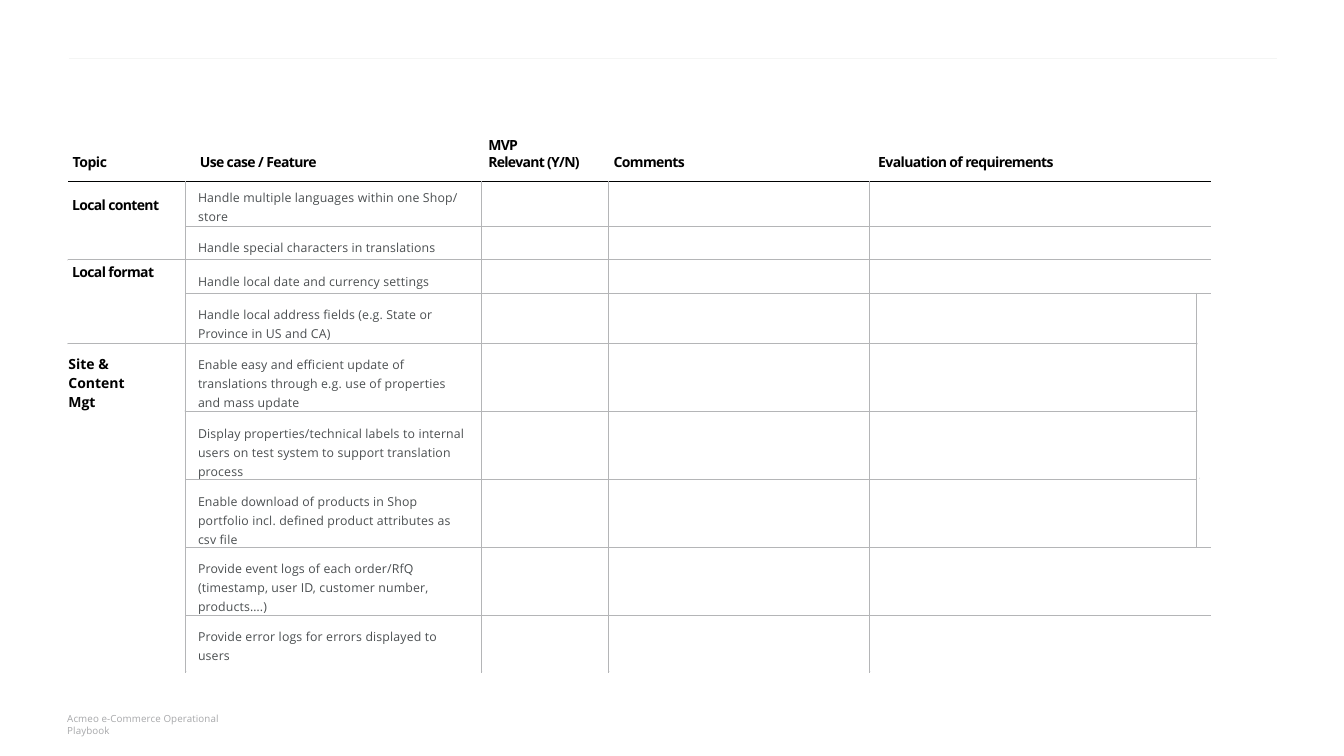
import pptx
import pptx.util
import pptx.dml.color
import pptx.enum.shapes
import pptx.oxml
import pptx.oxml.ns
from pptx.util import Inches, Pt

RGBColor = pptx.dml.color.RGBColor
BLACK = RGBColor(0x00, 0x00, 0x00)
HEADER_LINE = RGBColor(0x00, 0x01, 0x01)
GRID = RGBColor(0xB4, 0xB5, 0xB7)
BODY = RGBColor(0x4B, 0x4F, 0x51)
FOOTER = RGBColor(0xA7, 0xA8, 0xAA)
TOP_RULE = RGBColor(0xF4, 0xF5, 0xF4)
NO_STYLE = "{2D5ABB26-0587-4C30-8999-92F81FD0307C}"


def write(frame, text, size, color, bold, tracking, spacing=None, gap=0):
    """Fill a text frame, one paragraph per line of text."""
    frame.word_wrap = True
    frame.text = text
    for index, paragraph in enumerate(frame.paragraphs):
        if spacing:
            paragraph.line_spacing = spacing
        if index and gap:
            paragraph.space_before = Pt(gap)
        font = paragraph.font
        font.name, font.size, font.bold = "Open Sans", Pt(size), bold
        font.color.rgb = color
        font._rPr.set("spc", str(round(tracking * 100)))


def add_border(cell, side, color):
    """Draw a 1 pt line on one side of a table cell (lnL or lnT)."""
    cell._tc.get_or_add_tcPr().append(pptx.oxml.parse_xml(
        f'<a:{side} {pptx.oxml.ns.nsdecls("a")} w="12700"><a:solidFill>'
        f'<a:srgbClr val="{color}"/></a:solidFill></a:{side}>'))


presentation = pptx.Presentation()
presentation.slide_width = Inches(21.99)
presentation.slide_height = Inches(12.37)
slide = presentation.slides.add_slide(presentation.slide_layouts[6])
shapes = slide.shapes

# Rule across the top
top_rule = shapes.add_connector(pptx.enum.shapes.MSO_CONNECTOR.STRAIGHT,
                                Inches(1.13), Inches(0.96), Inches(20.89), Inches(0.96))
top_rule.line.color.rgb = TOP_RULE
top_rule.line.width = Pt(0.5)
top_rule._element.spPr.append(
    pptx.oxml.parse_xml(f'<a:effectLst {pptx.oxml.ns.nsdecls("a")}/>'))

# Requirements table
column_widths = [1.92, 4.83, 2.09, 4.26, 5.35, 0.14]
row_heights = [0.74, 0.55, 0.55, 0.82, 1.1, 1.1, 1.11, 1.1, 0.94]
requirements = shapes.add_table(len(row_heights), len(column_widths), Inches(1.12),
                                Inches(2.96), Inches(18.6), Inches(8.01)).table
requirements.first_row = requirements.horz_banding = False
requirements._tbl.tblPr.find(pptx.oxml.ns.qn("a:tableStyleId")).text = NO_STYLE
for column, width in zip(requirements.columns, column_widths):
    column.width = Inches(width)
for row, height in zip(requirements.rows, row_heights):
    row.height = Inches(height)

# Grid lines, left out inside the merged cells
EDGE_ROWS = range(3, 7)
TOPIC_ROWS = (0, 2, 4)
for r in range(len(row_heights)):
    for c in range(len(column_widths)):
        cell = requirements.cell(r, c)
        if 0 < c < 5 or (c == 5 and r in EDGE_ROWS):
            add_border(cell, "lnL", GRID)
        inside_topic = c == 0 and r not in TOPIC_ROWS
        inside_edge = c == 5 and r in EDGE_ROWS[1:]
        if not inside_topic and not inside_edge:
            add_border(cell, "lnT", GRID if r else HEADER_LINE)
        cell.fill.background()
    if r not in EDGE_ROWS:
        requirements.cell(r, 4).merge(requirements.cell(r, 5))
requirements.cell(3, 5).merge(requirements.cell(6, 5))

# Topics: first row, last row, text, left, top and right margin
topics = [
    (0, 1, "Local content", 0.06, 0.24, 0, -0.75),
    (2, 3, "Local format", 0.06, 0.05, 0, -0.7),
    (4, 8, "Site & Content Mgt", 0, 0.19, 0.7, 0),
]
for first, last, topic, left, top, right, tracking in topics:
    cell = requirements.cell(first, 0)
    cell.merge(requirements.cell(last, 0))
    cell.margin_left, cell.margin_top = Inches(left), Inches(top)
    cell.margin_right, cell.margin_bottom = Inches(right), 0
    write(cell.text_frame, topic, 16.5, BLACK, True, tracking)

# Use cases: text, top margin, line spacing
use_cases = [
    ("Handle multiple languages within one Shop/ store", 0.1, 1.14),
    ("Handle special characters in translations", 0.22, None),
    ("Handle local date and currency settings", 0.22, None),
    ("Handle local address fields (e.g. State or\nProvince in US and CA)", 0.22, None),
    ("Enable easy and efficient update of translations through e.g. use of "
     "properties and mass update", 0.18, 1.14),
    ("Display properties/technical labels to internal users on test system to "
     "support translation process", 0.18, 1.14),
    ("Enable download of products in Shop portfolio incl. defined product "
     "attributes as csv file", 0.18, 1.14),
    ("Provide event logs of each order/RfQ (timestamp, user ID, customer number, "
     "products….)", 0.17, 1.14),
    ("Provide error logs for errors displayed to users", 0.17, 1.14),
]
for r, (use_case, top, spacing) in enumerate(use_cases):
    cell = requirements.cell(r, 1)
    cell.margin_left, cell.margin_top = Inches(0.2), Inches(top)
    cell.margin_right, cell.margin_bottom = Inches(0.17), 0
    write(cell.text_frame, use_case, 14.5, BODY, False, 0.18, spacing, gap=2.4)

# Dots at the ends of the grid lines
line_ends = [(x, 10.98) for x in (3.04, 7.88, 9.96, 14.23)]
line_ends += [(1.1, 4.25), (1.1, 5.62), (19.59, 5.62), (3.02, 6.72),
              (19.59, 6.72), (19.62, 7.82), (3.03, 8.93)]
for x, y in line_ends:
    dot = shapes.add_shape(pptx.enum.shapes.MSO_SHAPE.OVAL,
                           Inches(x), Inches(y), Inches(0.01), Inches(0.01))
    dot.shadow.inherit = False
    dot.fill.solid()
    dot.fill.fore_color.rgb = GRID
    dot.line.fill.background()

# Column headings and footer
heading_style = (16.5, BLACK, True)
labels = [
    ("Topic", 1.18, 2.51, 0.62, 0.3, 0.01, heading_style, -0.5, None),
    ("Use case / Feature", 3.26, 2.51, 2.07, 0.3, 0.01, heading_style, -0.7, None),
    ("MVP\nRelevant (Y/N)", 7.98, 2.23, 1.61, 0.58, 0.01, heading_style, -0.8, Pt(19.8)),
    ("Comments", 10.03, 2.51, 1.24, 0.3, 0.01, heading_style, -0.7, None),
    ("Evaluation of requirements", 14.36, 2.51, 3.07, 0.3, 0.01, heading_style, -0.7, None),
    ("Acmeo e-Commerce Operational Playbook", 1.09, 11.63, 3.22, 0.25, 0.03,
     (11.5, FOOTER, False), 0.1, None),
]
for text, left, top, width, height, inset, style, tracking, spacing in labels:
    frame = shapes.add_textbox(Inches(left), Inches(top),
                               Inches(width), Inches(height)).text_frame
    frame.margin_left, frame.margin_top = Inches(0.01), Inches(inset)
    frame.margin_right = frame.margin_bottom = 0
    write(frame, text, *style, tracking, spacing)

presentation.save("out.pptx")
